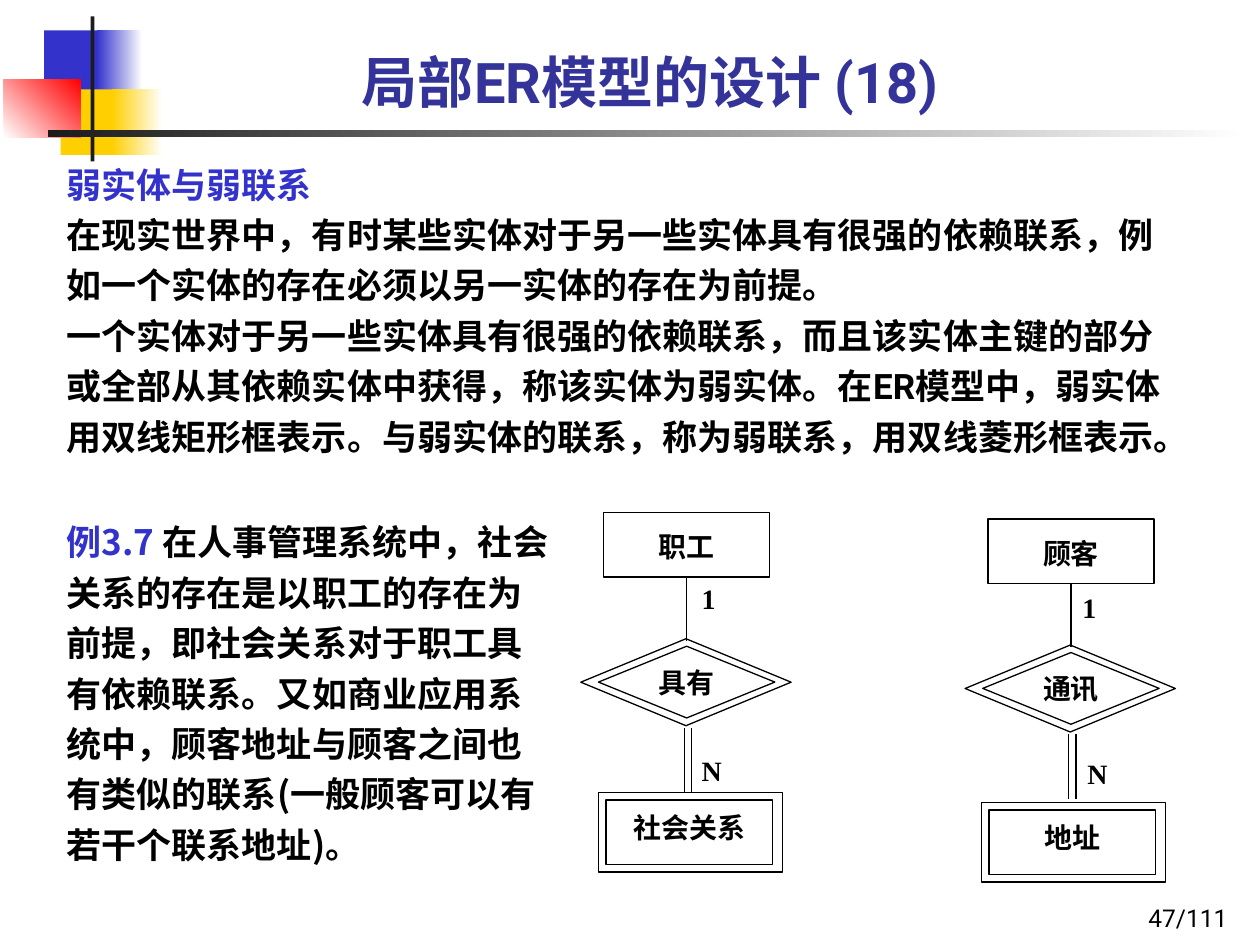
from dataclasses import dataclass
from typing import Optional

from lxml.etree import SubElement
from pptx import Presentation
from pptx.dml.color import RGBColor
from pptx.enum.shapes import MSO_CONNECTOR, MSO_SHAPE
from pptx.enum.text import MSO_ANCHOR, MSO_AUTO_SIZE, PP_ALIGN
from pptx.oxml.ns import qn
from pptx.util import Pt

BLUE = RGBColor(0x33, 0x33, 0xCC)
TITLE_BLUE = RGBColor(0x33, 0x33, 0x99)
YELLOW = RGBColor(0xFF, 0xCF, 0x01)
RED = RGBColor(0xFF, 0x00, 0x00)
DARK = RGBColor(0x1C, 0x1C, 0x1C)
BLACK = RGBColor(0x00, 0x00, 0x00)
WHITE = RGBColor(0xFF, 0xFF, 0xFF)
SANS = "Roboto"
CJK = "Noto Sans CJK SC"
SERIF = "Times New Roman"


@dataclass(frozen=True)
class Block:
    x: float
    y: float
    w: float
    h: float
    start: RGBColor
    end: Optional[RGBColor] = None
    angle: float = 0


@dataclass(frozen=True)
class Diagram:
    cx: float
    top: float
    weak_left: float
    weak_top: float
    one: tuple[float, float]
    many: tuple[float, float]
    entity: str
    relation: str
    weak_entity: str


BLOCKS = [
    Block(25.2, 17.3, 34.6, 37.4, BLUE),
    Block(55.4, 17.3, 25.9, 37.4, BLUE, WHITE),
    Block(34.6, 51.1, 33.1, 37.4, YELLOW),
    Block(64.1, 51.1, 28.8, 37.4, YELLOW, WHITE),
    Block(2.2, 45.4, 43.9, 33.1, WHITE, RED, 45),
    Block(51.8, 9.4, 2.2, 82.8, DARK),
    Block(27.4, 74.2, 684.7, 4.3, DARK, WHITE),
]
DIAGRAMS = [
    Diagram(392.4, 293, 342, 452.9, (401, 331.2), (401, 429.1),
            "职工", "具有", "社会关系"),
    Diagram(612, 296.6, 560.9, 458.6, (618.5, 336.2), (621.4, 431.3),
            "顾客", "通讯", "地址"),
]
BODY = [
    ("弱实体与弱联系", BLUE),
    ("在现实世界中，有时某些实体对于另一些实体具有很强的依赖联系，例如一个实体的存在必须以另一实体的存在为前提。", BLACK),
    ("一个实体对于另一些实体具有很强的依赖联系，而且该实体主键的部分或全部从其依赖实体中获得，称该实体为弱实体。"
     "在ER模型中，弱实体用双线矩形框表示。与弱实体的联系，称为弱联系，用双线菱形框表示。", BLACK),
]
EXAMPLE = ("在人事管理系统中，社会关系的存在是以职工的存在为前提，即社会关系对于职工具有依赖联系。"
           "又如商业应用系统中，顾客地址与顾客之间也有类似的联系(一般顾客可以有若干个联系地址)。")


def format_run(r, size: float, name: str, color: RGBColor, bold: bool = True) -> None:
    r.font.size = Pt(size)
    r.font.name = name
    r.font.bold = bold
    r.font.color.rgb = color
    SubElement(r._r.get_or_add_rPr(), qn("a:ea")).set("typeface", CJK)


def set_frame(tf, anchor, left=7.2, top=3.6, right=7.2, bottom=3.6) -> None:
    tf.word_wrap = True
    tf.auto_size = MSO_AUTO_SIZE.NONE
    tf.vertical_anchor = anchor
    tf.margin_left, tf.margin_top = Pt(left), Pt(top)
    tf.margin_right, tf.margin_bottom = Pt(right), Pt(bottom)


def add_text_box(s, x: float, y: float, w: float, h: float, anchor, **insets):
    tf = s.shapes.add_textbox(Pt(x), Pt(y), Pt(w), Pt(h)).text_frame
    set_frame(tf, anchor, **insets)
    return tf


def add_block(s, b: Block) -> None:
    sp = s.shapes.add_shape(MSO_SHAPE.RECTANGLE, Pt(b.x), Pt(b.y), Pt(b.w), Pt(b.h))
    sp.shadow.inherit = False
    sp.line.fill.background()
    if b.end is None:
        sp.fill.solid()
        sp.fill.fore_color.rgb = b.start
        return
    sp.fill.gradient()
    sp.fill.gradient_angle = b.angle
    for stop, color, position in zip(sp.fill.gradient_stops, (b.start, b.end), (0, 1)):
        stop.color.rgb = color
        stop.position = position


def add_outline(s, kind, x: float, y: float, w: float, h: float, text: str = "",
                top: float = 0, bottom: float = 0) -> None:
    sp = s.shapes.add_shape(kind, Pt(x), Pt(y), Pt(w), Pt(h))
    sp.shadow.inherit = False
    sp.fill.background()
    sp.line.color.rgb = BLACK
    sp.line.width = Pt(0.75)
    if text:
        sp.fill.solid()
        sp.fill.fore_color.rgb = WHITE
        tf = sp.text_frame
        set_frame(tf, MSO_ANCHOR.MIDDLE, 0, top, 0, bottom)
        tf.text = text
        p = tf.paragraphs[0]
        p.alignment = PP_ALIGN.CENTER
        format_run(p.runs[0], 16, SERIF, BLACK)


def add_line(s, x: float, y: float, length: float) -> None:
    c = s.shapes.add_connector(MSO_CONNECTOR.STRAIGHT, Pt(x), Pt(y), Pt(x), Pt(y + length))
    c.line.color.rgb = BLACK
    c.line.width = Pt(0.75)
    SubElement(c._element.spPr, qn("a:effectLst"))


def add_diagram(s, d: Diagram) -> None:
    for text, (x, y) in (("1", d.one), ("N", d.many)):
        tf = add_text_box(s, x, y, 18, 21.6, MSO_ANCHOR.MIDDLE,
                          left=0, top=0, right=0, bottom=0)
        tf.text = text
        format_run(tf.paragraphs[0].runs[0], 16, SERIF, BLACK)
    add_outline(s, MSO_SHAPE.RECTANGLE, d.cx - 47.5, d.top, 95, 36.7, d.entity, top=2)
    add_line(s, d.cx, d.top + 36.7, 36.7)
    for dx in (-1.4, 2.9):
        add_line(s, d.cx + dx, d.top + 123.1, 36.7)
    add_outline(s, MSO_SHAPE.DIAMOND, d.cx - 60.5, d.top + 72, 120.2, 49.7)
    add_outline(s, MSO_SHAPE.DIAMOND, d.cx - 50.4, d.top + 76.3, 100.8, 41, d.relation)
    add_outline(s, MSO_SHAPE.RECTANGLE, d.weak_left, d.weak_top, 105.1, 45.4)
    add_outline(s, MSO_SHAPE.RECTANGLE, d.weak_left + 4.3, d.weak_top + 4.3, 95, 36.7,
                d.weak_entity, bottom=6)


def add_title(s) -> None:
    sp = s.shapes.title
    sp.left, sp.top, sp.width, sp.height = Pt(64.8), Pt(6.6), Pt(613.4), Pt(62.6)
    tf = sp.text_frame
    set_frame(tf, MSO_ANCHOR.BOTTOM)
    tf.text = "局部ER模型的设计 (18)"
    p = tf.paragraphs[0]
    p.alignment = PP_ALIGN.CENTER
    format_run(p.runs[0], 32, SANS, TITLE_BLUE)


def add_prose(s, x: float, y: float, w: float, h: float, name: str, paragraphs) -> None:
    tf = add_text_box(s, x, y, w, h, MSO_ANCHOR.TOP)
    for i, runs in enumerate(paragraphs):
        p = tf.add_paragraph() if i else tf.paragraphs[0]
        p.line_spacing = Pt(28.8)
        for text, color in runs:
            r = p.add_run()
            r.text = text
            format_run(r, 20, name, color)


def add_page_number(s) -> None:
    tf = add_text_box(s, 558.7, 500.4, 149.8, 36, MSO_ANCHOR.BOTTOM)
    tf.text = "47/111"
    p = tf.paragraphs[0]
    p.alignment = PP_ALIGN.RIGHT
    format_run(p.runs[0], 14, SANS, BLACK, bold=False)


def main() -> None:
    prs = Presentation()
    prs.slide_width, prs.slide_height = Pt(720), Pt(540)
    s = prs.slides.add_slide(prs.slide_layouts[5])
    for block in BLOCKS:
        add_block(s, block)
    add_title(s)
    add_prose(s, 31, 84.8, 652.3, 209.5, SANS, [[line] for line in BODY])
    add_prose(s, 31, 289.3, 289.4, 245.5, CJK, [[("例3.7 ", BLUE), (EXAMPLE, BLACK)]])
    for diagram in DIAGRAMS:
        add_diagram(s, diagram)
    add_page_number(s)
    prs.save("out.pptx")


if __name__ == "__main__":
    main()
